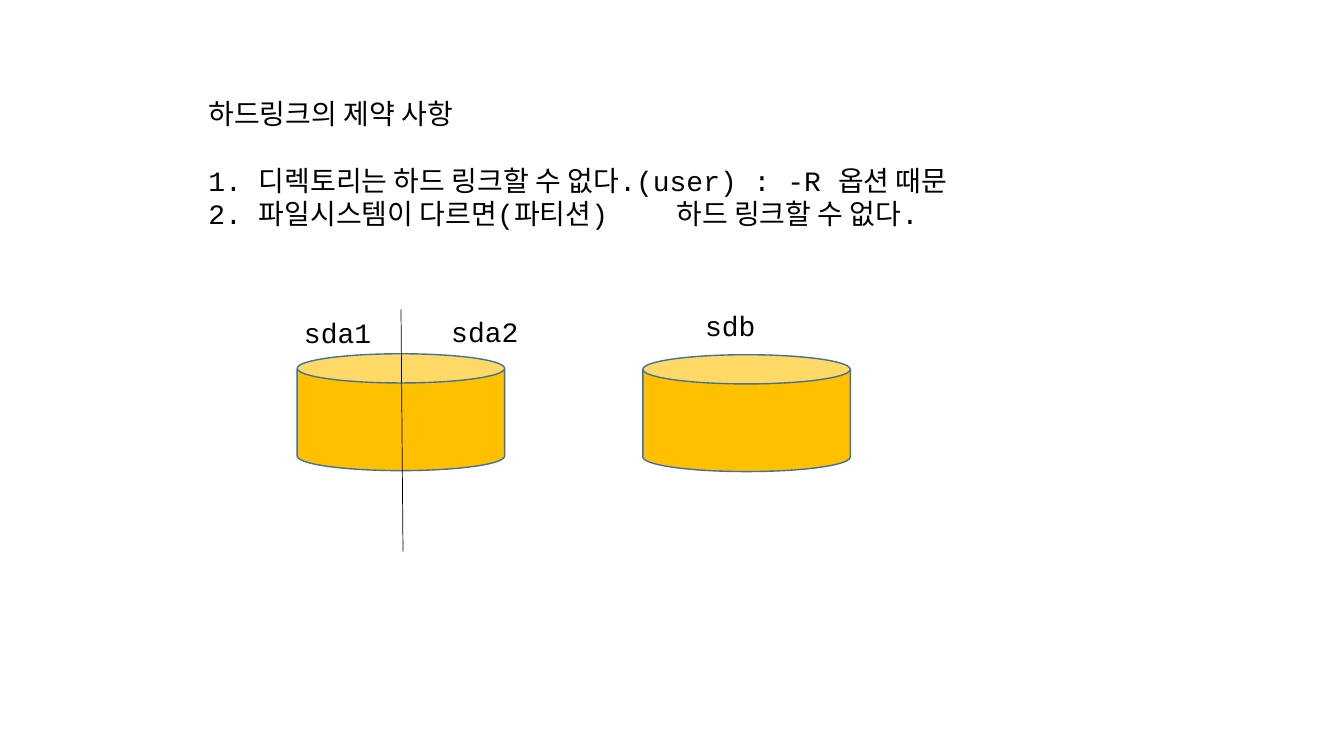
import pptx
import pptx.dml.color
import pptx.enum.shapes
import pptx.enum.text
import pptx.oxml.ns
import pptx.util
from lxml import etree

Pt = pptx.util.Pt
COLORS = {"text": "000000", "disk": "FFC000", "edge": "41719C"}


def rgb(name):
    return pptx.dml.color.RGBColor.from_string(COLORS[name])


class Slide:
    FONT = {"name": "Courier New", "size": Pt(20)}
    MARGINS = {"margin_left": Pt(7.2), "margin_right": Pt(7.2),
               "margin_top": Pt(3.6), "margin_bottom": Pt(3.6)}

    def __init__(self, prs):
        self.s = prs.slides.add_slide(prs.slide_layouts[6])

    def text(self, x, y, w, h, lines, wrap=False):
        """Each line is (text, space before, tab stop or None)."""
        tf = self.s.shapes.add_textbox(Pt(x), Pt(y), Pt(w), Pt(h)).text_frame
        for key, value in self.MARGINS.items():
            setattr(tf, key, value)
        tf.word_wrap = wrap
        tf.auto_size = pptx.enum.text.MSO_AUTO_SIZE.SHAPE_TO_FIT_TEXT
        for i, (words, before, tab) in enumerate(lines):
            p = tf.add_paragraph() if i else tf.paragraphs[0]
            if before:
                p.space_before = Pt(before)
            if tab:
                tabs = etree.SubElement(p._p.get_or_add_pPr(), pptx.oxml.ns.qn("a:tabLst"))
                etree.SubElement(tabs, pptx.oxml.ns.qn("a:tab"), pos=str(Pt(tab)), algn="l")
            r = p.add_run()
            r.text = words
            for key, value in self.FONT.items():
                setattr(r.font, key, value)
            r.font.color.rgb = rgb("text")

    def disk(self, x, y, w, h):
        sp = self.s.shapes.add_shape(pptx.enum.shapes.MSO_SHAPE.CAN, Pt(x), Pt(y), Pt(w), Pt(h))
        sp.shadow.inherit = False
        sp.adjustments[0] = 0.25
        sp.fill.solid()
        sp.fill.fore_color.rgb = rgb("disk")
        sp.line.color.rgb = rgb("edge")
        sp.line.width = Pt(1)

    def line(self, x1, y1, x2, y2):
        cn = self.s.shapes.add_connector(pptx.enum.shapes.MSO_CONNECTOR.STRAIGHT,
                                         Pt(x1), Pt(y1), Pt(x2), Pt(y2))
        cn.line.color.rgb = rgb("text")
        cn.line.width = Pt(0.5)
        etree.SubElement(cn._element.spPr, pptx.oxml.ns.qn("a:effectLst"))


def main():
    prs = pptx.Presentation()
    prs.slide_width, prs.slide_height = Pt(960.5), Pt(540)
    slide = Slide(prs)

    # Heading and the two restrictions
    slide.text(141.8, 65.5, 595.4, 103.7, [
        ("하드링크의 제약 사항", 0, None),
        ("1. 디렉토리는 하드 링크할 수 없다.(user) : -R 옵션 때문", 23.5, None),
        ("2. 파일시스템이 다르면(파티션)\t하드 링크할 수 없다.", 0, 334.5),
    ], wrap=True)

    # Disks
    for x, y in [(212.4, 252.7), (459.4, 253.4)]:
        slide.disk(x, y, 148.3, 83.5)

    # Partition divider
    slide.line(286.6, 221, 288, 393.8)

    # Device names
    for name, x, y, w in [("sda1", 210.2, 221.8, 62.6),
                          ("sda2", 315.4, 221, 62.6),
                          ("sdb", 496.8, 216.7, 50.4)]:
        slide.text(x, y, w, 31.7, [(name, 0, None)])

    prs.save("out.pptx")


if __name__ == "__main__":
    main()
